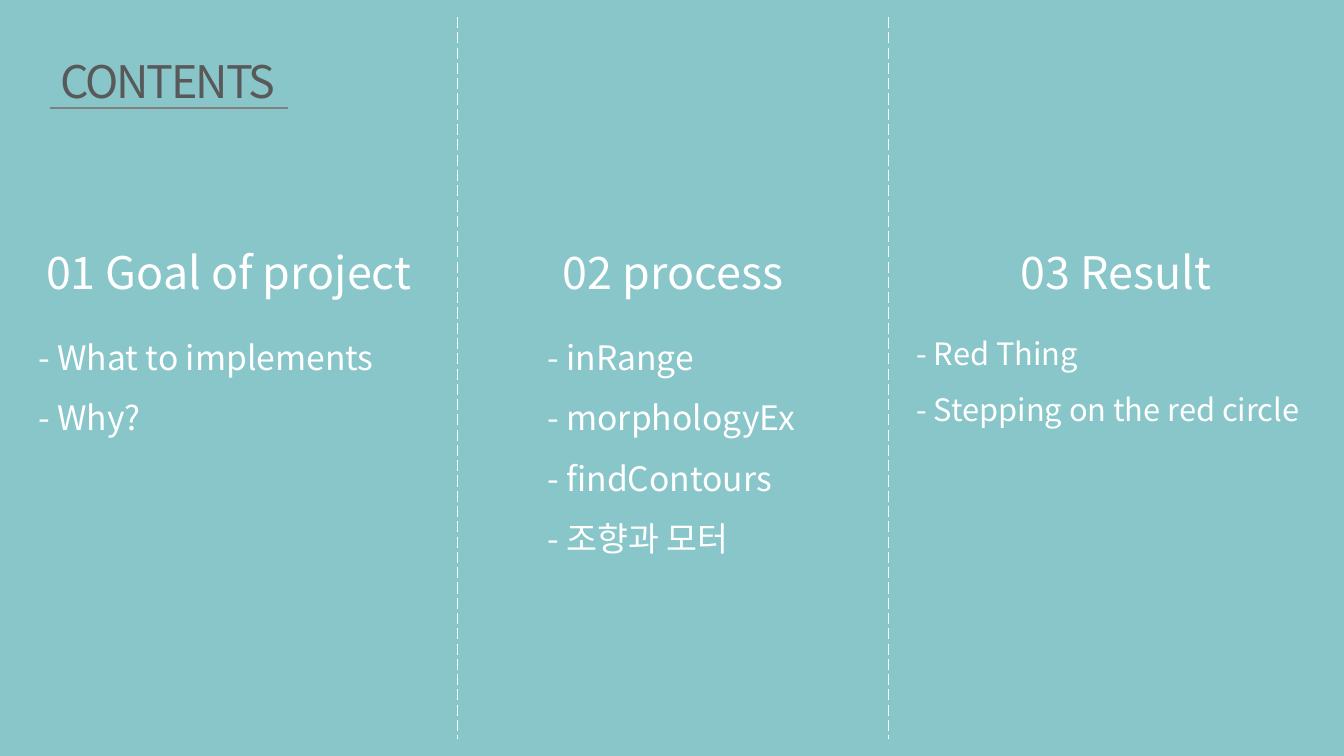
from pptx import Presentation
from pptx.dml.color import RGBColor
from pptx.enum.dml import MSO_LINE as Dash
from pptx.enum.shapes import MSO_CONNECTOR as Conn
from pptx.enum.text import MSO_ANCHOR as Anchor, MSO_AUTO_SIZE as Fit, PP_ALIGN as Align
from pptx.oxml.ns import qn
from pptx.util import Inches, Pt

FONT = "Noto Sans CJK KR"
TEAL = RGBColor(0x89, 0xC6, 0xC9)
WHITE = RGBColor(0xFF, 0xFF, 0xFF)
DARK = RGBColor(0x59, 0x59, 0x59)
GREY = RGBColor(0x80, 0x80, 0x80)

# Content: heading, list items, list size, list left and width
PARTS = [
    ("01 Goal of project", ["- What to implements", "- Why?"], 24, 0.28, 3.79),
    ("02 process", ["- inRange", "- morphologyEx", "- findContours", "- 조향과 모터"],
     24, 5.33, 2.69),
    ("03 Result", ["- Red Thing", "- Stepping on the red circle"], 22, 8.99, 4.16),
]
EDGES = [0, 4.54, 8.81, 13.33]
HEAD_TOP, HEAD_H, LIST_TOP = 2.38, 0.64, 3.09


def fill_text(shape, lines, size, color, align=Align.LEFT, space=1.0, wrap=False):
    frame = shape.text_frame
    frame.text = "\n".join(lines)
    frame.word_wrap = wrap
    frame.auto_size = Fit.NONE
    frame.vertical_anchor = Anchor.TOP
    for para in frame.paragraphs:
        para.alignment = align
        para.line_spacing = space
        for run in para.runs:
            run.font.size = Pt(size)
            run.font.name = FONT
            run.font.color.rgb = color
            east = run.font._element.makeelement(qn("a:ea"), {"typeface": FONT})
            run.font._element.find(qn("a:latin")).addnext(east)


def add_text(slide, left, top, width, height, *args, **opts):
    box = slide.shapes.add_textbox(*map(Inches, (left, top, width, height)))
    fill_text(box, *args, **opts)


def add_line(slide, x1, y1, x2, y2, color, dash=None):
    line = slide.shapes.add_connector(Conn.STRAIGHT, *map(Inches, (x1, y1, x2, y2)))
    line.line.color.rgb = color
    line.line.width = Pt(1)
    if dash:
        line.line.dash_style = dash
    props = line._element.spPr
    props.append(props.makeelement(qn("a:effectLst"), {}))


def main():
    deck = Presentation()
    deck.slide_width, deck.slide_height = Inches(13.33), Inches(7.5)
    slide = deck.slides.add_slide(deck.slide_layouts[5])
    slide.background.fill.solid()
    slide.background.fill.fore_color.rgb = TEAL

    # Title with its rule
    add_line(slide, 0.5, 1.07, 2.86, 1.07, GREY)
    title = slide.shapes.title
    title.left, title.top = Inches(0.47), Inches(0.48)
    title.width, title.height = Inches(2.39), Inches(0.64)
    fill_text(title, ["CONTENTS"], 32, DARK, Align.CENTER)
    title.text_frame.paragraphs[0].runs[0].font._element.set("spc", "-150")

    # Columns: heading centred between the edges, list below
    for (head, items, size, left, width), start, end in zip(PARTS, EDGES, EDGES[1:]):
        add_text(slide, start, HEAD_TOP, end - start, HEAD_H,
                 [head], 32, WHITE, Align.CENTER, wrap=True)
        high = 0.1 + len(items) * size * 0.024
        add_text(slide, left, LIST_TOP, width, high, items, size, WHITE, space=1.5)

    # Dashed dividers
    for x in EDGES[1:-1]:
        add_line(slide, x, 0.17, x, 7.33, WHITE, Dash.LONG_DASH)

    deck.save("out.pptx")


if __name__ == "__main__":
    main()
